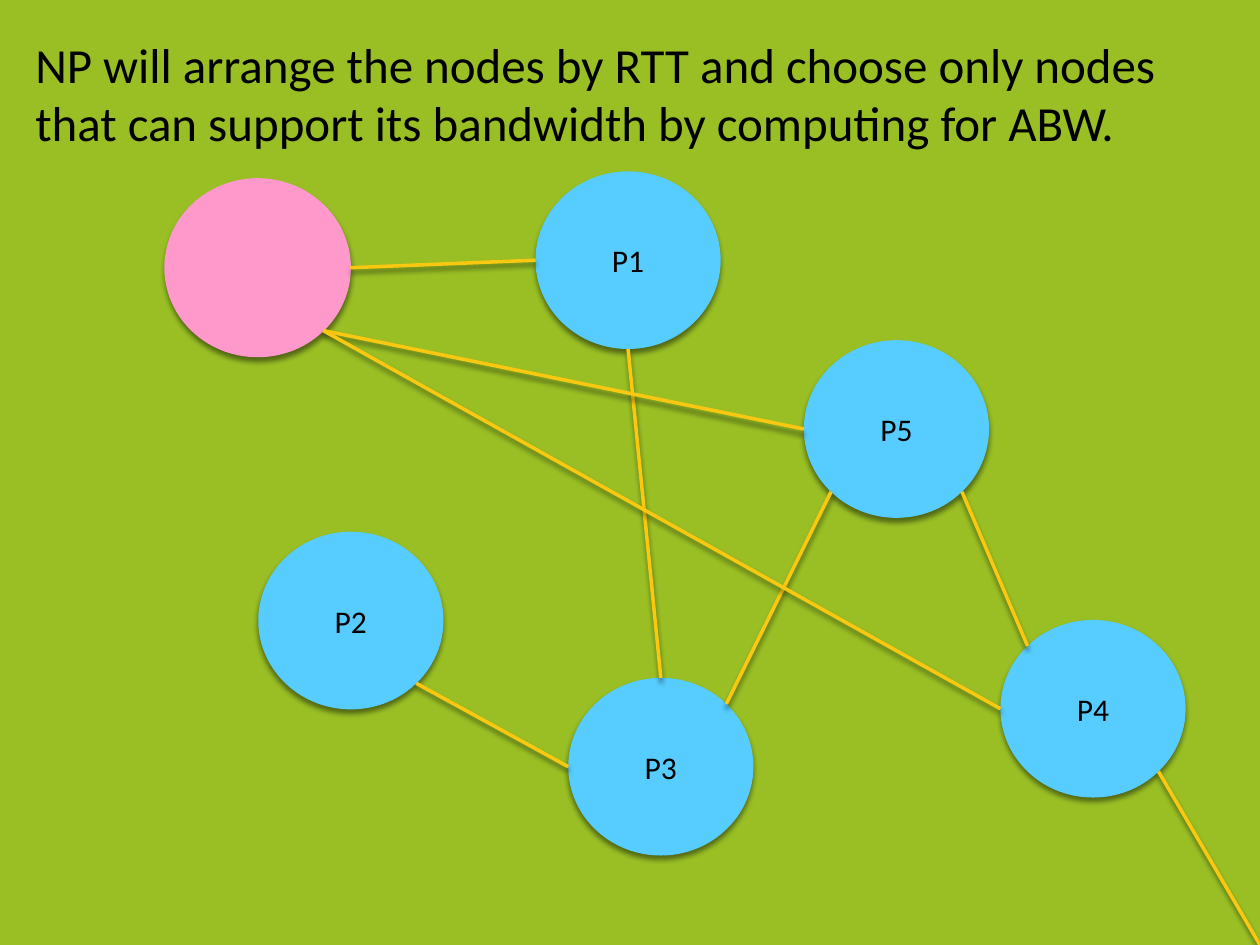
from math import cos, radians, sin

from lxml import etree
from pptx import Presentation
from pptx.dml.color import RGBColor
from pptx.enum.shapes import MSO_CONNECTOR, MSO_SHAPE
from pptx.enum.text import MSO_ANCHOR, MSO_AUTO_SIZE, PP_ALIGN
from pptx.oxml.ns import qn
from pptx.util import Inches, Pt

OVAL = MSO_SHAPE.OVAL
STRAIGHT = MSO_CONNECTOR.STRAIGHT
TOP, MIDDLE = MSO_ANCHOR.TOP, MSO_ANCHOR.MIDDLE
LEFT, CENTER = PP_ALIGN.LEFT, PP_ALIGN.CENTER
GROW = MSO_AUTO_SIZE.SHAPE_TO_FIT_TEXT

GREEN, BLUE, PINK, YELLOW, BLACK = "99BF25", "57CDFF", "FF99CC", "FAC810", "000000"
FONT = "Calibri"
NODE_WIDTH, NODE_HEIGHT = 1.47, 1.41
HEADING = (
    "NP will arrange the nodes by RTT and choose only nodes "
    "that can support its bandwidth by computing for ABW."
)
PEERS = {
    "P1": (4.25, 1.36),
    "P2": (2.05, 4.22),
    "P4": (7.94, 4.92),
    "P3": (4.51, 5.38),
    "P5": (6.38, 2.7),
}
NEW_PEER = (1.31, 1.42)
NODES = {**PEERS, "NP": NEW_PEER}
SITE_ANGLES = {
    "right": 0,
    "bottom right": 45,
    "bottom": 90,
    "bottom left": 135,
    "left": 180,
    "top left": 225,
    "top": 270,
    "top right": 315,
}
LINKS = [
    ("P5", "bottom right", "P4", "top left"),
    ("P5", "bottom left", "P3", "top right"),
    ("P1", "bottom", "P3", "top"),
    ("P3", "left", "P2", "bottom right"),
    ("P1", "left", "NP", "right"),
    ("P5", "left", "NP", "bottom right"),
    ("P4", "left", "NP", "bottom right"),
]


def color(value):
    """Return the colour for a hex string."""
    return RGBColor.from_string(value)


def write_text(frame, text, size, align, anchor):
    """Put one formatted paragraph into a text frame."""
    frame.word_wrap = True
    frame.vertical_anchor = anchor
    para = frame.paragraphs[0]
    para.alignment = align
    span = para.add_run()
    span.text = text
    span.font.name = FONT
    span.font.size = Pt(size)
    span.font.color.rgb = color(BLACK)


def add_shadow(item):
    """Give a shape or connector a soft shadow that falls straight down."""
    effects = etree.SubElement(item._element.spPr, qn("a:effectLst"))
    shadow = etree.SubElement(
        effects, qn("a:outerShdw"),
        blurRad=str(Pt(3)), dist=str(Pt(2.4)), dir="5400000", rotWithShape="0",
    )
    tint = etree.SubElement(shadow, qn("a:srgbClr"), val=BLACK)
    etree.SubElement(tint, qn("a:alpha"), val="45000")


def add_heading(page):
    """Place and format the title."""
    title = page.shapes.title
    title.left, title.top = Inches(0.18), Inches(0.22)
    title.width, title.height = Inches(9.27), Inches(1.04)
    write_text(title.text_frame, HEADING, size=28, align=LEFT, anchor=TOP)
    title.text_frame.auto_size = GROW


def add_node(page, position, fill, label=None, outline=None):
    """Draw one node as an ellipse with an optional label and outline."""
    left, top = position
    node = page.shapes.add_shape(
        OVAL, Inches(left), Inches(top), Inches(NODE_WIDTH), Inches(NODE_HEIGHT)
    )
    node.fill.solid()
    node.fill.fore_color.rgb = color(fill)
    if outline:
        node.line.color.rgb = color(outline)
        node.line.width = Pt(0.79)
    else:
        node.line.fill.background()
    add_shadow(node)
    if label:
        write_text(node.text_frame, label, size=18, align=CENTER, anchor=MIDDLE)


def site_point(name, site):
    """Return the point on a node's rim at a named site."""
    left, top = NODES[name]
    angle = radians(SITE_ANGLES[site])
    return (
        left + NODE_WIDTH / 2 * (1 + cos(angle)),
        top + NODE_HEIGHT / 2 * (1 + sin(angle)),
    )


def add_link(page, start, end):
    """Draw a straight link between two points."""
    link = page.shapes.add_connector(
        STRAIGHT, *(Inches(value) for value in (*start, *end))
    )
    link.line.color.rgb = color(YELLOW)
    link.line.width = Pt(2)
    add_shadow(link)


def main():
    """Build the slide and save it."""
    deck = Presentation()
    deck.slide_width, deck.slide_height = Inches(10), Inches(7.5)
    page = deck.slides.add_slide(deck.slide_layouts[5])
    page.background.fill.solid()
    page.background.fill.fore_color.rgb = color(GREEN)

    add_heading(page)
    for label, position in PEERS.items():
        add_node(page, position, BLUE, label=label)
    add_node(page, NEW_PEER, PINK, outline=PINK)

    add_link(page, site_point("P4", "bottom right"), (10, 7.5))
    for source, source_site, target, target_site in LINKS:
        add_link(page, site_point(source, source_site), site_point(target, target_site))

    deck.save("out.pptx")


if __name__ == "__main__":
    main()
